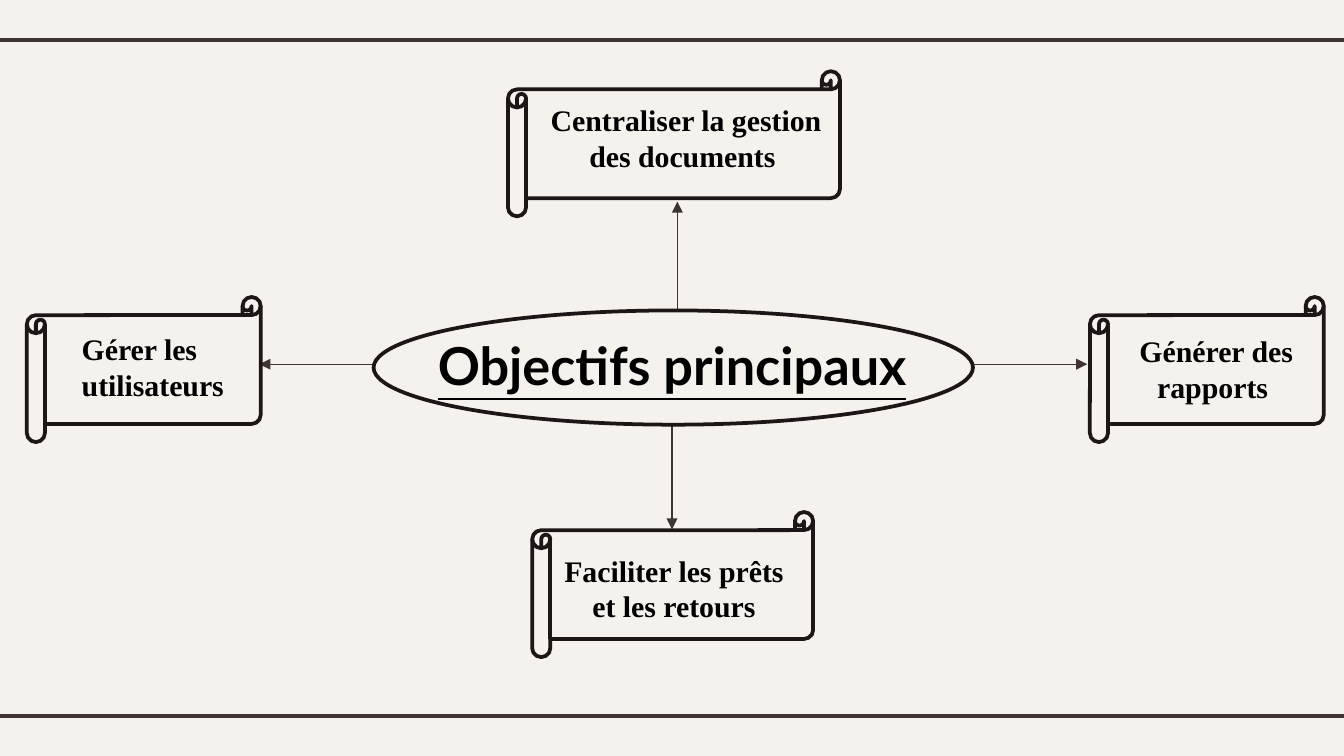
from dataclasses import dataclass

from lxml import etree
from pptx import Presentation
from pptx import util as u
from pptx.dml import color
from pptx.enum import shapes, text
from pptx.oxml import ns


@dataclass(frozen=True)
class Theme:
    background: color.RGBColor = color.RGBColor.from_string("F5F2EE")
    rule: color.RGBColor = color.RGBColor.from_string("3F3533")
    arrow: color.RGBColor = color.RGBColor.from_string("3E3432")
    outline: color.RGBColor = color.RGBColor.from_string("1C1716")
    ink: color.RGBColor = color.RGBColor.from_string("000000")
    title_font: str = "Lato"
    label_font: str = "Times New Roman"
    title_size: u.Pt = u.Pt(28)
    label_size: u.Pt = u.Pt(16)


theme = Theme()
presentation = Presentation()
presentation.slide_width = u.Inches(10)
presentation.slide_height = u.Inches(10) * 9 // 16
slide = presentation.slides.add_slide(presentation.slide_layouts[6])
slide.background.fill.solid()
slide.background.fill.fore_color.rgb = theme.background


def add_line(start, end, line_color, width):
    connector = slide.shapes.add_connector(
        shapes.MSO_CONNECTOR.STRAIGHT,
        *[u.Inches(value) for value in (*start, *end)],
    )
    connector.line.color.rgb = line_color
    connector.line.width = u.Pt(width)
    etree.SubElement(connector._element.spPr, ns.qn("a:effectLst"))
    return connector


def add_label(box, content, font_name, size, alignment):
    label = slide.shapes.add_textbox(*[u.Inches(value) for value in box])
    label.text_frame.word_wrap = True
    paragraph = label.text_frame.paragraphs[0]
    paragraph.alignment = alignment
    run = paragraph.add_run()
    run.text = content
    run.font.name = font_name
    run.font.size = size
    run.font.bold = True
    run.font.color.rgb = theme.ink
    return run


for y in (0.3, 5.33):
    add_line((-0.08, y), (10.08, y), theme.rule, 2.25)

center = text.PP_ALIGN.CENTER
title = add_label((3.14, 2.43, 3.72, 0.57), "Objectifs principaux",
                  theme.title_font, theme.title_size, center)
title.font.underline = True

arrows = [
    ((5.04, 2.31), (5.04, 1.5)),
    ((2.77, 2.71), (1.93, 2.71)),
    ((5, 3.16), (5, 3.94)),
    ((7.23, 2.71), (8.09, 2.71)),
]
for start, end in arrows:
    arrow = add_line(start, end, theme.arrow, 0.75)
    etree.SubElement(arrow.line._get_or_add_ln(), ns.qn("a:tailEnd"), type="triangle")

objectives = [
    ("Centraliser la gestion des documents ", (3.96, 0.71, 2.29, 0.64), center),
    ("Gérer les utilisateurs", (0.51, 2.41, 1.36, 0.88), text.PP_ALIGN.LEFT),
    ("Faciliter les prêts et les retours", (4.06, 4.06, 1.91, 0.64), center),
    ("Générer des rapports ", (8.16, 2.43, 1.78, 0.64), center),
]
for content, box, alignment in objectives:
    add_label(box, content, theme.label_font, theme.label_size, alignment)

scroll = shapes.MSO_SHAPE.HORIZONTAL_SCROLL
outlines = [
    (shapes.MSO_SHAPE.OVAL, (2.78, 2.31, 4.46, 0.85)),
    (scroll, (0.2, 2.21, 1.74, 1.08)),
    (scroll, (3.96, 3.81, 2.09, 1.08)),
    (scroll, (8.11, 2.21, 1.74, 1.08)),
    (scroll, (3.78, 0.53, 2.47, 1.08)),
]
for preset, box in outlines:
    shape = slide.shapes.add_shape(preset, *[u.Inches(value) for value in box])
    shape.shadow.inherit = False
    shape.fill.background()
    shape.line.color.rgb = theme.outline
    shape.line.width = u.Pt(2)

presentation.save("out.pptx")
